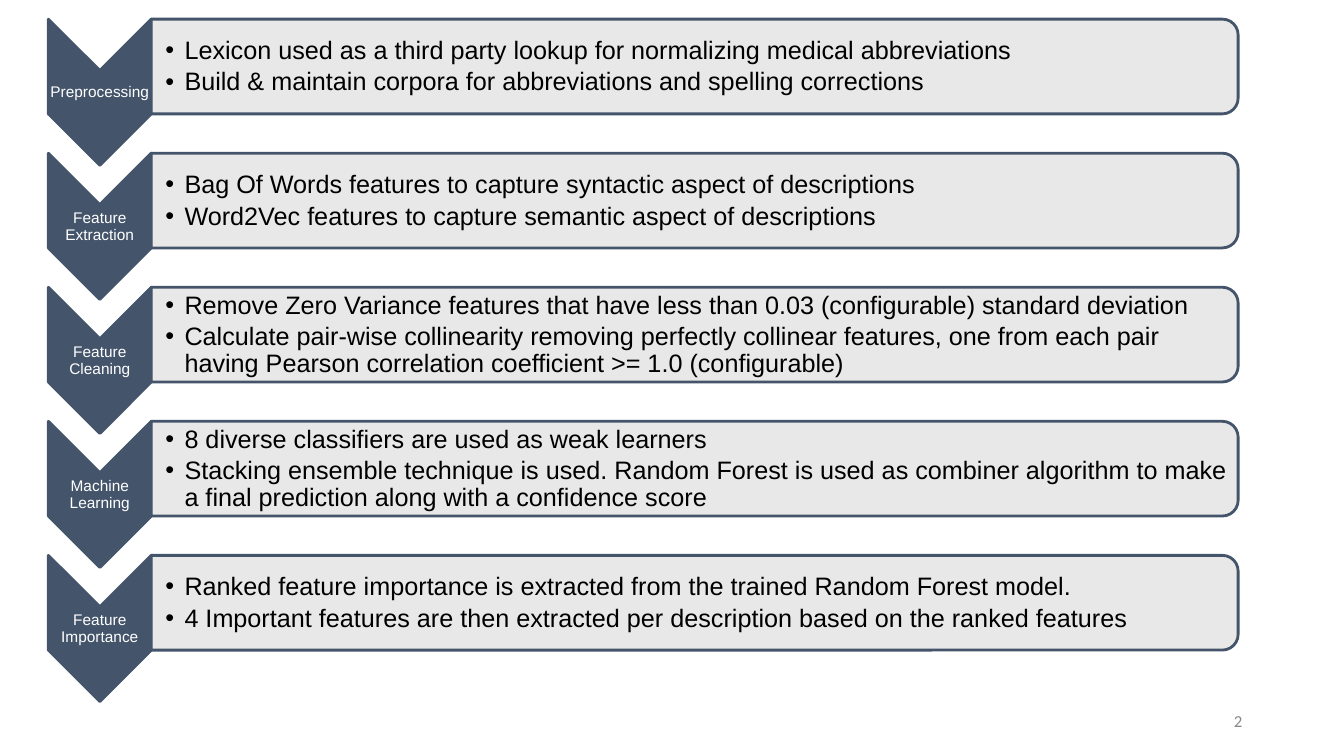
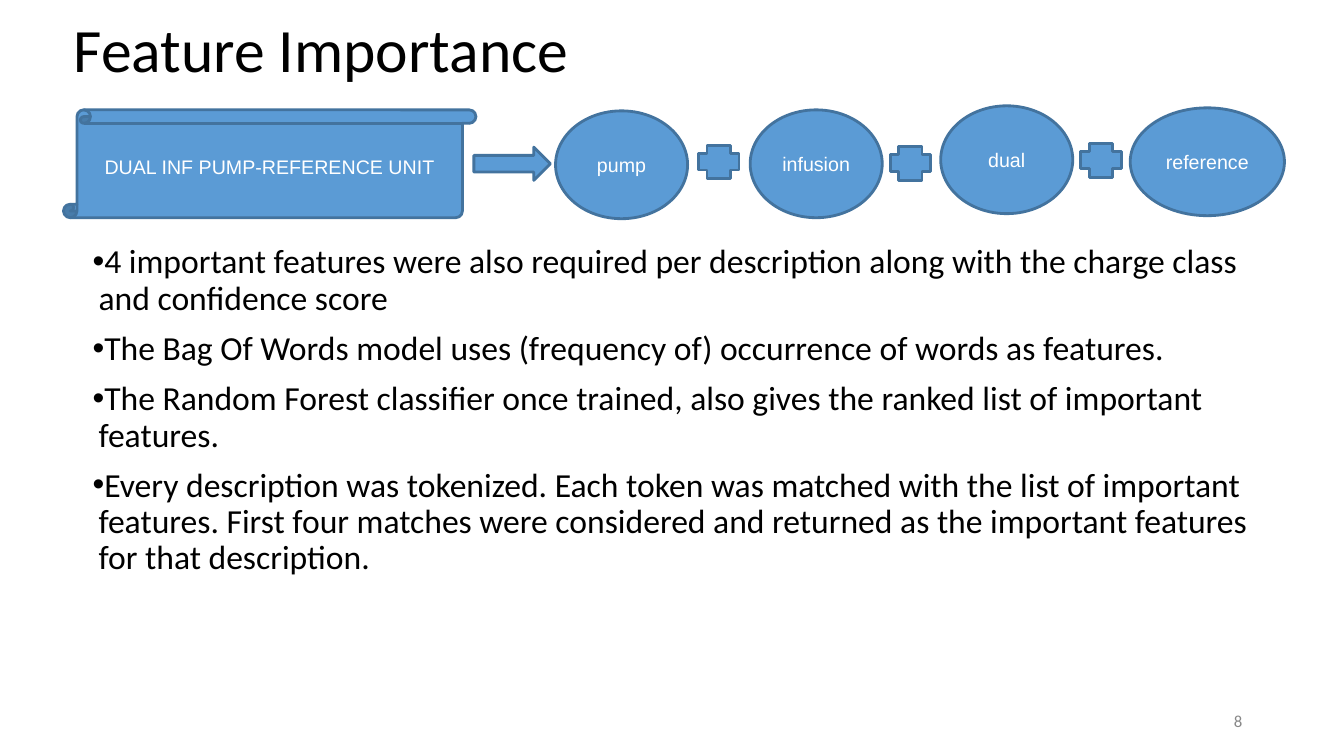
from lxml import etree
from pptx import Presentation
from pptx.dml.color import RGBColor
from pptx.enum.shapes import MSO_SHAPE
from pptx.enum.text import MSO_ANCHOR, MSO_AUTO_SIZE, PP_ALIGN
from pptx.oxml.ns import qn
from pptx.util import Inches, Pt

BLACK = RGBColor(0x00, 0x00, 0x00)
WHITE = RGBColor(0xFF, 0xFF, 0xFF)
GRAY = RGBColor(0x88, 0x88, 0x88)
SLATE = RGBColor(0x44, 0x54, 0x6A)
PALE = RGBColor(0xE7, 0xE6, 0xE6)
BLUE = RGBColor(0x5B, 0x9B, 0xD5)
DARK_BLUE = RGBColor(0x43, 0x73, 0x9E)

CHEVRON = MSO_SHAPE.CHEVRON
PANEL = MSO_SHAPE.ROUND_2_SAME_RECTANGLE
SCROLL = MSO_SHAPE.VERTICAL_SCROLL
ARROW = MSO_SHAPE.RIGHT_ARROW
OVAL = MSO_SHAPE.OVAL
PLUS = MSO_SHAPE.CROSS
LEFT, CENTER, RIGHT = PP_ALIGN.LEFT, PP_ALIGN.CENTER, PP_ALIGN.RIGHT
TOP, MIDDLE = MSO_ANCHOR.TOP, MSO_ANCHOR.MIDDLE
NO_AUTOFIT = MSO_AUTO_SIZE.NONE

TITLE_ONLY, BLANK = 5, 6
ROW_TOP, ROW_PITCH = 0.19, 1.33

STAGES = [
    ("Preprocessing", [
        "Lexicon used as a third party lookup for normalizing medical abbreviations",
        "Build & maintain corpora for abbreviations and spelling corrections"]),
    ("Feature Extraction", [
        "Bag Of Words features to capture syntactic aspect of descriptions",
        "Word2Vec features to capture semantic aspect of descriptions"]),
    ("Feature Cleaning", [
        "Remove Zero Variance features that have less than 0.03 (configurable) "
        "standard deviation",
        "Calculate pair-wise collinearity removing perfectly collinear features, "
        "one from each pair having Pearson correlation coefficient >= 1.0 (configurable)"]),
    ("Machine Learning", [
        "8 diverse classifiers are used as weak learners",
        "Stacking ensemble technique is used. Random Forest is used as combiner "
        "algorithm to make a final prediction along with a confidence score"]),
    ("Feature Importance", [
        "Ranked feature importance is extracted from the trained Random Forest model.",
        "4 Important features are then extracted per description based on the "
        "ranked features"]),
]

IMPORTANCE_POINTS = [
    "4 important features were also required per description along with the "
    "charge class and confidence score",
    "The Bag Of Words model uses (frequency of) occurrence of words as features.",
    "The Random Forest classifier once trained, also gives the ranked list of "
    "important features.",
    "Every description was tokenized. Each token was matched with the list of "
    "important features. First four matches were considered and returned as the "
    "important features for that description.",
]

FLOW = [
    (SCROLL, 0.63, 1.09, 4.09, 1.07, "DUAL INF PUMP-REFERENCE UNIT"),
    (ARROW, 4.7, 1.46, 0.76, 0.33, ""),
    (OVAL, 5.51, 1.1, 1.31, 1.07, "pump"),
    (PLUS, 6.93, 1.44, 0.4, 0.33, ""),
    (OVAL, 7.44, 1.09, 1.31, 1.07, "infusion"),
    (PLUS, 8.83, 1.45, 0.4, 0.34, ""),
    (OVAL, 9.33, 1.05, 1.31, 1.07, "dual"),
    (PLUS, 10.72, 1.42, 0.4, 0.34, ""),
    (OVAL, 11.21, 1.07, 1.53, 1.07, "reference"),
]


def write_text(shape, lines, size, font="Arial", color=BLACK, align=LEFT,
               anchor=MIDDLE, insets=(0.1, 0.05, 0.1, 0.05), spacing=None):
    """Fill a shape with one paragraph a line and format them all alike."""
    frame = shape.text_frame
    frame.text = "\n".join(lines)
    frame.word_wrap = True
    frame.auto_size = NO_AUTOFIT
    frame.vertical_anchor = anchor
    (frame.margin_left, frame.margin_top,
     frame.margin_right, frame.margin_bottom) = map(Inches, insets)
    for paragraph in frame.paragraphs:
        paragraph.alignment = align
        paragraph.line_spacing = spacing
        for run in paragraph.runs:
            run.font.size = Pt(size)
            run.font.name = font
            run.font.color.rgb = color


def add_text(slide, left, top, width, height, lines, size, **style):
    """Add a text box and return it."""
    box = slide.shapes.add_textbox(
        Inches(left), Inches(top), Inches(width), Inches(height))
    write_text(box, lines, size, **style)
    return box


def add_bullets(shape, margin, indent, before=0, after=0):
    """Give every paragraph of a shape a hanging round bullet."""
    for paragraph in shape.text_frame.paragraphs:
        paragraph.space_before = Pt(before)
        paragraph.space_after = Pt(after)
        properties = paragraph._p.get_or_add_pPr()
        properties.set("marL", str(Inches(margin)))
        properties.set("indent", str(Inches(indent)))
        etree.SubElement(properties, qn("a:buFont")).set("typeface", "Arial")
        etree.SubElement(properties, qn("a:buChar")).set("char", "\u2022")


def add_outlined(slide, kind, left, top, width, height, fill, line):
    """Add a preset shape with a plain fill and a two-point outline."""
    shape = slide.shapes.add_shape(
        kind, Inches(left), Inches(top), Inches(width), Inches(height))
    shape.shadow.inherit = False
    shape.fill.solid()
    shape.fill.fore_color.rgb = fill
    shape.line.color.rgb = line
    shape.line.width = Pt(2)
    return shape


def add_turned(slide, kind, left, top, width, height, fill):
    """Add a shape turned by 90 degrees that covers the given area."""
    shift = (width - height) / 2
    shape = add_outlined(slide, kind, left + shift, top - shift,
                         height, width, fill, SLATE)
    shape.rotation = 90
    return shape


def set_opacity(shape, percent):
    """Make the solid fill of a shape partly transparent."""
    color = shape.fill._xPr.find(qn("a:solidFill"))[0]
    etree.SubElement(color, qn("a:alpha")).set("val", str(percent * 1000))


def add_stage(slide, top, name, points):
    """Add one pipeline row: a chevron with its name and a panel of points."""
    add_turned(slide, CHEVRON, 0.48, top, 1.02, 1.45, SLATE)
    add_text(slide, 0.48, top + 0.51, 1.02, 0.44, [name], 11, color=WHITE,
             align=CENTER, insets=(0.01,) * 4, spacing=0.9)
    panel = add_turned(slide, PANEL, 1.5, top, 10.78, 0.94, PALE)
    set_opacity(panel, 90)
    box = add_text(slide, 1.5, top + 0.05, 10.74, 0.85, points, 18,
                   insets=(0.14, 0.01, 0.01, 0.01), spacing=0.9)
    add_bullets(box, 0.19, -0.19, after=3)


def add_page_number(slide, number):
    """Add the page number at the lower right."""
    add_text(slide, 9.42, 6.95, 3, 0.4, [number], 12, font="Calibri",
             color=GRAY, align=RIGHT)


def set_title(slide, text):
    """Place and format the title placeholder."""
    title = slide.shapes.title
    title.left, title.top = Inches(0.63), Inches(0.13)
    title.width, title.height = Inches(11.5), Inches(0.78)
    write_text(title, [text], 44, font="Calibri", insets=(0.1,) * 4, spacing=0.9)


def build_pipeline(presentation):
    """Build the slide with the five pipeline stages."""
    slide = presentation.slides.add_slide(presentation.slide_layouts[BLANK])
    add_page_number(slide, "2")
    for row, (name, points) in enumerate(STAGES):
        add_stage(slide, ROW_TOP + row * ROW_PITCH, name, points)


def build_importance(presentation):
    """Build the slide that explains the important features."""
    slide = presentation.slides.add_slide(presentation.slide_layouts[TITLE_ONLY])
    set_title(slide, "Feature Importance")
    add_page_number(slide, "8")
    body = add_text(slide, 0.63, 2.33, 11.93, 4.5, IMPORTANCE_POINTS, 24,
                    font="Calibri", anchor=TOP, insets=(0.1,) * 4, spacing=0.9)
    add_bullets(body, 0.25, -0.06, before=10)
    for kind, left, top, width, height, label in FLOW:
        shape = add_outlined(slide, kind, left, top, width, height, BLUE, DARK_BLUE)
        if label:
            write_text(shape, [label], 14, color=WHITE, align=CENTER)


def main():
    """Build and save the presentation."""
    presentation = Presentation()
    presentation.slide_width = Inches(13.33)
    presentation.slide_height = Inches(7.5)
    build_pipeline(presentation)
    build_importance(presentation)
    presentation.save("out.pptx")


main()
